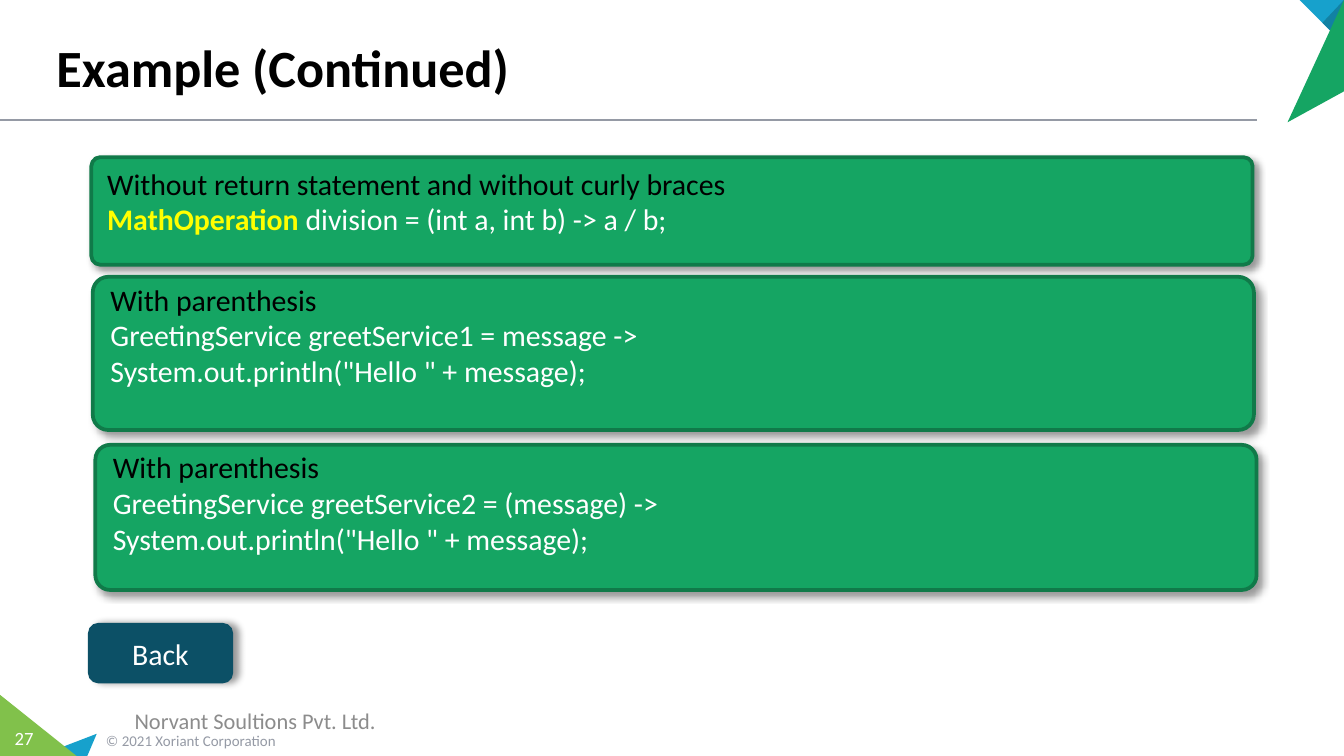
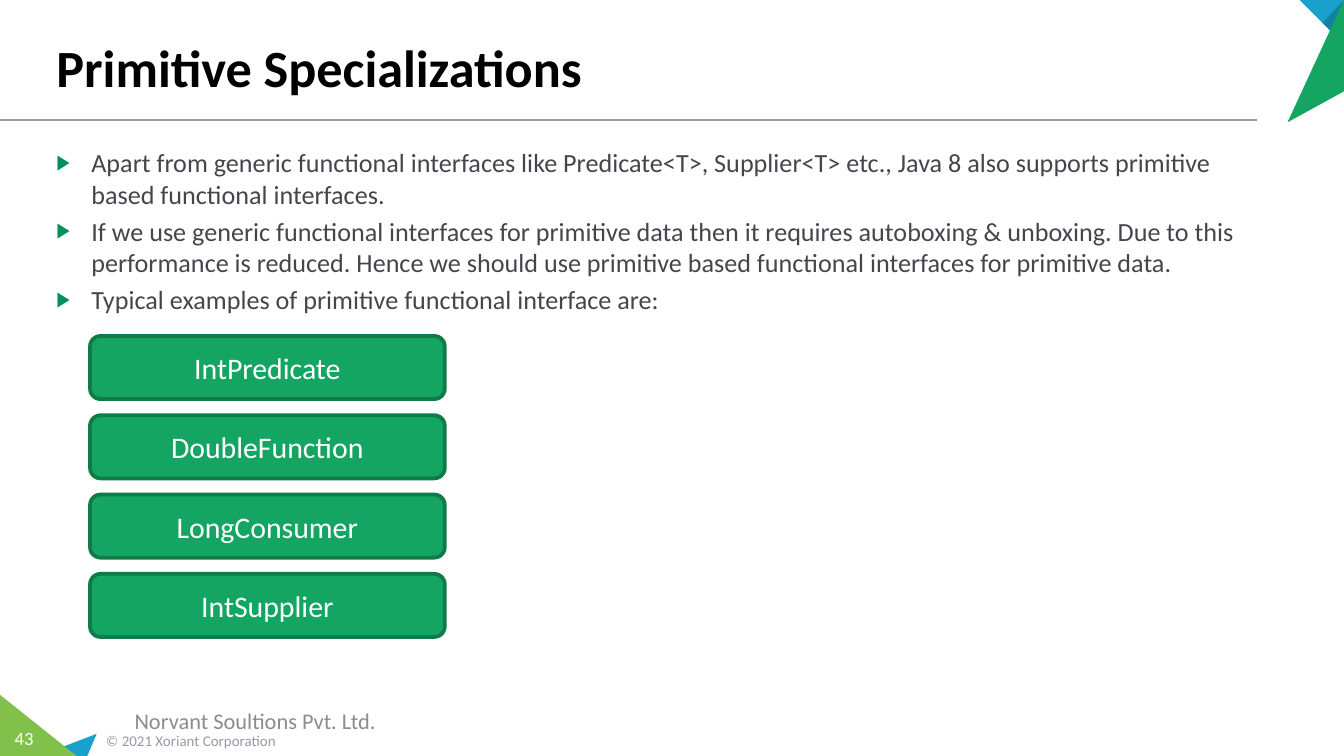
from dataclasses import dataclass

from pptx import Presentation
from pptx.dml.color import RGBColor as RGB
from pptx.enum.shapes import MSO_CONNECTOR, MSO_SHAPE
from pptx.enum.text import MSO_ANCHOR as Anchor, MSO_AUTO_SIZE as AutoSize, PP_ALIGN as Align
from pptx.oxml import parse_xml
from pptx.oxml.ns import nsdecls, qn
from pptx.util import Inches, Pt


@dataclass(frozen=True)
class Theme:
    font: str = "Calibri"
    black: str = "000000"
    white: str = "FFFFFF"
    keyword: str = "FFFF00"
    body: str = "44464B"
    bullet: str = "049159"
    rule: str = "959AA5"
    footer: str = "8C8C8C"
    green: str = "15A563"
    green_edge: str = "107A49"
    lime: str = "81C14B"
    blue: str = "17A1CC"
    blue_dark: str = "1281A3"
    button: str = "0C5066"
    title_size: int = 28
    card_size: int = 16
    body_size: int = 14
    footer_size: int = 12
    number_size: int = 10
    copyright_size: int = 8


THEME = Theme()


def write_text(shape, paragraphs, size, align=Align.LEFT, bold=False, bullets=False, **frame_format):
    frame = shape.text_frame
    frame_values = {"word_wrap": True, "auto_size": AutoSize.NONE, "vertical_anchor": Anchor.MIDDLE}
    for key, value in (frame_values | frame_format).items():
        setattr(frame, key, value)
    for index, runs in enumerate(paragraphs):
        paragraph = frame.paragraphs[0] if index == 0 else frame.add_paragraph()
        if bullets:
            props = paragraph._p.get_or_add_pPr()
            props.set("marL", str(Inches(0.26)))
            props.set("indent", str(-Inches(0.26)))
            for xml in (
                f'<a:buClr {nsdecls("a")}><a:srgbClr val="{THEME.bullet}"/></a:buClr>',
                f'<a:buSzPct {nsdecls("a")} val="80000"/>',
                f'<a:buChar {nsdecls("a")} char="▶"/>',
            ):
                props.append(parse_xml(xml))
        spacing = {"alignment": align, "space_before": Pt(0), "space_after": Pt(3 if bullets else 0)}
        for key, value in spacing.items():
            setattr(paragraph, key, value)
        for text, color, *emphasis in runs:
            run = paragraph.add_run()
            run.text = text
            run.font.color.rgb = RGB.from_string(color)
            font_format = {"name": THEME.font, "size": Pt(size), "bold": bold or bool(emphasis)}
            for key, value in font_format.items():
                setattr(run.font, key, value)


def add_card(slide, place, fill, edge, edge_width, corner=0.167, shadow_angle=None):
    card = slide.shapes.add_shape(MSO_SHAPE.ROUNDED_RECTANGLE, *map(Inches, place))
    card.adjustments[0] = corner
    card.fill.solid()
    card.fill.fore_color.rgb = RGB.from_string(fill)
    card.line.color.rgb = RGB.from_string(edge)
    card.line.width = Pt(edge_width)
    card.shadow.inherit = False
    if shadow_angle is not None:
        card._element.spPr.find(qn("a:effectLst")).append(parse_xml(
            f'<a:outerShdw {nsdecls("a")} blurRad="{Pt(4)}" dist="{Pt(3)}" '
            f'dir="{shadow_angle * 60000}" algn="tl" rotWithShape="0">'
            f'<a:srgbClr val="{THEME.black}"><a:alpha val="40000"/></a:srgbClr></a:outerShdw>'))
    return card


deck = Presentation()
deck.slide_width, deck.slide_height = Inches(10), Inches(5.625)

corner_triangles = [
    (THEME.blue, [(0.72, 5.46), (0.65, 5.625), (0.29, 5.625)]),
    (THEME.lime, [(0, 5.17), (0.57, 5.625), (0, 5.625)]),
    (THEME.blue, [(9.67, 0), (10, 0), (10, 0.33)]),
    (THEME.blue_dark, [(9.84, 0.17), (10, 0), (10, 0.33)]),
    (THEME.green, [(9.58, 0.91), (10, 0), (10, 0.68)]),
]

slides = []
for heading, number, layout in [("Example (Continued)", "27", 5), ("Primitive Specializations", "43", 1)]:
    slide = deck.slides.add_slide(deck.slide_layouts[layout])
    slides.append(slide)

    rule = slide.shapes.add_connector(MSO_CONNECTOR.STRAIGHT, 0, Inches(0.89), Inches(9.35), Inches(0.89))
    rule.line.color.rgb = RGB.from_string(THEME.rule)
    rule.line.width = Pt(1)
    rule._element.spPr.append(parse_xml(f'<a:effectLst {nsdecls("a")}/>'))

    for color, corners in corner_triangles:
        start, *others = [(Inches(x), Inches(y)) for x, y in corners]
        outline = slide.shapes.build_freeform(*start)
        outline.add_line_segments(others, close=True)
        triangle = outline.convert_to_shape()
        triangle.fill.solid()
        triangle.fill.fore_color.rgb = RGB.from_string(color)
        triangle.line.fill.background()
        triangle.shadow.inherit = False

    title = slide.shapes.title
    title.left, title.top, title.width, title.height = map(Inches, (0.32, 0.06, 9, 0.72))
    write_text(title, [[(heading, THEME.black)]], THEME.title_size, bold=True, vertical_anchor=Anchor.BOTTOM)

    for text, place, size, color, align, frame_format in [
        ("© 2021 Xoriant Corporation", (0.69, 5.39, 2.33, 0.24), THEME.copyright_size, THEME.rule,
         Align.LEFT, {}),
        (number, (0, 5.36, 0.36, 0.27), THEME.number_size, THEME.white, Align.CENTER,
         {"margin_left": 0, "margin_right": 0, "vertical_anchor": Anchor.TOP}),
        ("Norvant Soultions Pvt. Ltd.", (0, 5.21, 3.8, 0.3), THEME.footer_size, THEME.footer,
         Align.CENTER, {}),
    ]:
        label = slide.shapes.add_textbox(*map(Inches, place))
        write_text(label, [[(text, color)]], size, align, **frame_format)

example, primitives = slides

code_cards = [
    ((0.68, 1.17, 8.64, 0.8), 0.083, 0.04, [
        [("Without return statement and without curly braces", THEME.black)],
        [("MathOperation", THEME.keyword, "bold"), (" division = (int a, int b) -> a / b;", THEME.white)],
    ]),
]
for place, declaration in [
    ((0.69, 2.06, 8.64, 1.14), "GreetingService greetService1 = message ->"),
    ((0.71, 3.31, 8.64, 1.08), "GreetingService greetService2 = (message) ->"),
]:
    code_cards.append((place, 0.102, 0, [
        [("With parenthesis", THEME.black)],
        [(declaration, THEME.white)],
        [('System.out.println("Hello " + message);', THEME.white)],
    ]))
for place, corner, inset, lines in code_cards:
    code = add_card(example, place, THEME.green, THEME.green_edge, 2, corner, shadow_angle=45)
    write_text(code, lines, THEME.card_size, vertical_anchor=Anchor.TOP, margin_top=Inches(inset))

back = add_card(example, (0.66, 4.64, 1.07, 0.44), THEME.button, THEME.button, 0.75, shadow_angle=0)
write_text(back, [[("Back", THEME.white)]], THEME.card_size, Align.CENTER)

points = primitives.placeholders[1]
points.left, points.top, points.width, points.height = map(Inches, (0.32, 1.04, 9.17, 4.27))
write_text(points, [[(text, THEME.body)] for text in (
    "Apart from generic functional interfaces like Predicate<T>, Supplier<T> etc., Java 8 also supports "
    "primitive based functional interfaces.",
    "If we use generic functional interfaces for primitive data then it requires autoboxing & unboxing. "
    "Due to this performance is reduced. Hence we should use primitive based functional interfaces for "
    "primitive data.",
    "Typical examples of primitive functional interface are:",
)], THEME.body_size, bullets=True, vertical_anchor=Anchor.TOP)

for row, interface in enumerate(["IntPredicate", "DoubleFunction", "LongConsumer", "IntSupplier"]):
    card = add_card(primitives, (0.67, 2.5 + 0.59 * row, 2.64, 0.47), THEME.green, THEME.green_edge, 2)
    write_text(card, [[(interface, THEME.white)]], THEME.card_size, Align.CENTER)

deck.save("out.pptx")
